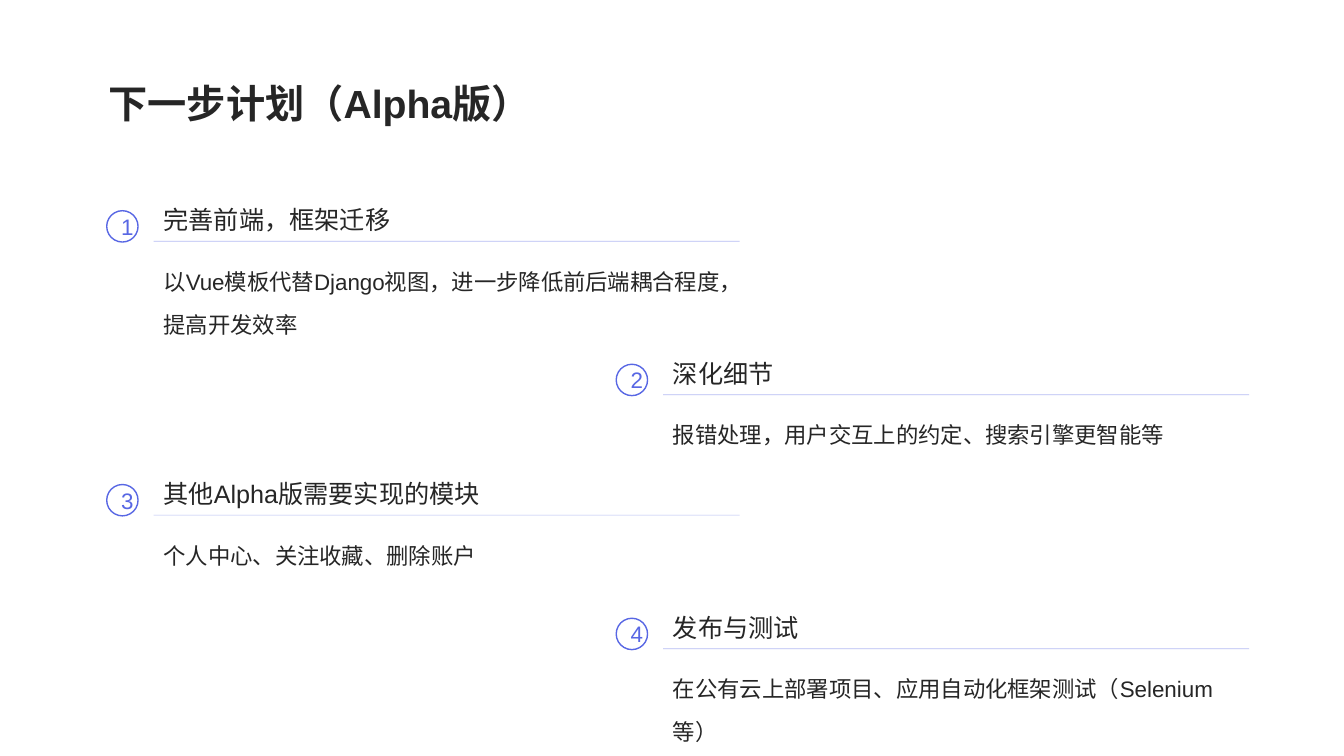
from dataclasses import dataclass

from lxml.etree import SubElement
from pptx import Presentation
from pptx.dml.color import RGBColor
from pptx.enum.shapes import MSO_CONNECTOR, MSO_SHAPE
from pptx.enum.text import MSO_ANCHOR, PP_ALIGN
from pptx.oxml.ns import qn
from pptx.slide import Slide
from pptx.text.text import TextFrame
from pptx.util import Cm, Pt

INK = RGBColor(0x26, 0x26, 0x26)
BLUE = RGBColor(0x58, 0x67, 0xE4)
FONT = "Arial"

LEFT, RIGHT = 3.87, 16.71
WIDTH = 14.77
BADGE = 0.79


@dataclass
class Step:
    x: float
    y: float  # height of the rule under the heading
    head: str
    body: str
    tall: float = 1.5


STEPS = [
    Step(LEFT, 6.08, "完善前端，框架迁移",
         "以Vue模板代替Django视图，进一步降低前后端耦合程度，提高开发效率", 2.49),
    Step(RIGHT, 9.95, "深化细节", "报错处理，用户交互上的约定、搜索引擎更智能等"),
    Step(LEFT, 12.98, "其他Alpha版需要实现的模块", "个人中心、关注收藏、删除账户"),
    Step(RIGHT, 16.35, "发布与测试",
         "在公有云上部署项目、应用自动化框架测试（Selenium等）"),
]


def write(frame: TextFrame, text: str, size: int, color: RGBColor = INK,
          space: float = 1.0, bold: bool = False) -> None:
    frame.word_wrap = True
    frame.text = text
    para = frame.paragraphs[0]
    para.line_spacing = space
    font = para.runs[0].font
    font.name = FONT
    font.size = Pt(size)
    font.bold = bold
    font.color.rgb = color


def add_text(slide: Slide, x: float, y: float, wide: float, tall: float,
             text: str, size: int, space: float, bold: bool = False) -> None:
    box = slide.shapes.add_textbox(Cm(x), Cm(y), Cm(wide), Cm(tall))
    write(box.text_frame, text, size, space=space, bold=bold)


def add_rule(slide: Slide, x: float, y: float) -> None:
    """Draw the pale line that underlines a heading."""
    rule = slide.shapes.add_connector(
        MSO_CONNECTOR.STRAIGHT, Cm(x), Cm(y), Cm(x + WIDTH), Cm(y))
    rule.line.width = Pt(0.5)
    rule.line.color.rgb = BLUE
    props = rule._element.spPr
    color = next(props.iter(qn("a:srgbClr")))
    SubElement(color, qn("a:alpha")).set("val", "44000")
    SubElement(props, qn("a:effectLst"))


def add_badge(slide: Slide, x: float, y: float, num: int) -> None:
    badge = slide.shapes.add_shape(
        MSO_SHAPE.OVAL, Cm(x), Cm(y), Cm(BADGE), Cm(BADGE))
    badge.shadow.inherit = False
    badge.fill.background()
    badge.line.color.rgb = BLUE
    badge.line.width = Pt(1)
    frame = badge.text_frame
    write(frame, str(num), 16, BLUE)
    frame.vertical_anchor = MSO_ANCHOR.MIDDLE
    frame.paragraphs[0].alignment = PP_ALIGN.CENTER


def add_step(slide: Slide, num: int, step: Step) -> None:
    add_rule(slide, step.x, step.y)
    add_text(slide, step.x, step.y - 1.12, WIDTH, 1.14, step.head, 18, 1.1)
    add_text(slide, step.x, step.y + 0.14, WIDTH, step.tall, step.body, 16, 1.6)
    add_badge(slide, step.x - 1.18, step.y - 0.77, num)


def main() -> None:
    deck = Presentation()
    deck.slide_width, deck.slide_height = Cm(33.87), Cm(19.05)
    slide = deck.slides.add_slide(deck.slide_layouts[6])
    add_text(slide, 2.49, 1.63, 28.98, 2.21, "下一步计划（Alpha版）", 28, 1.2, True)
    for num, step in enumerate(STEPS, 1):
        add_step(slide, num, step)
    deck.save("out.pptx")


if __name__ == "__main__":
    main()
